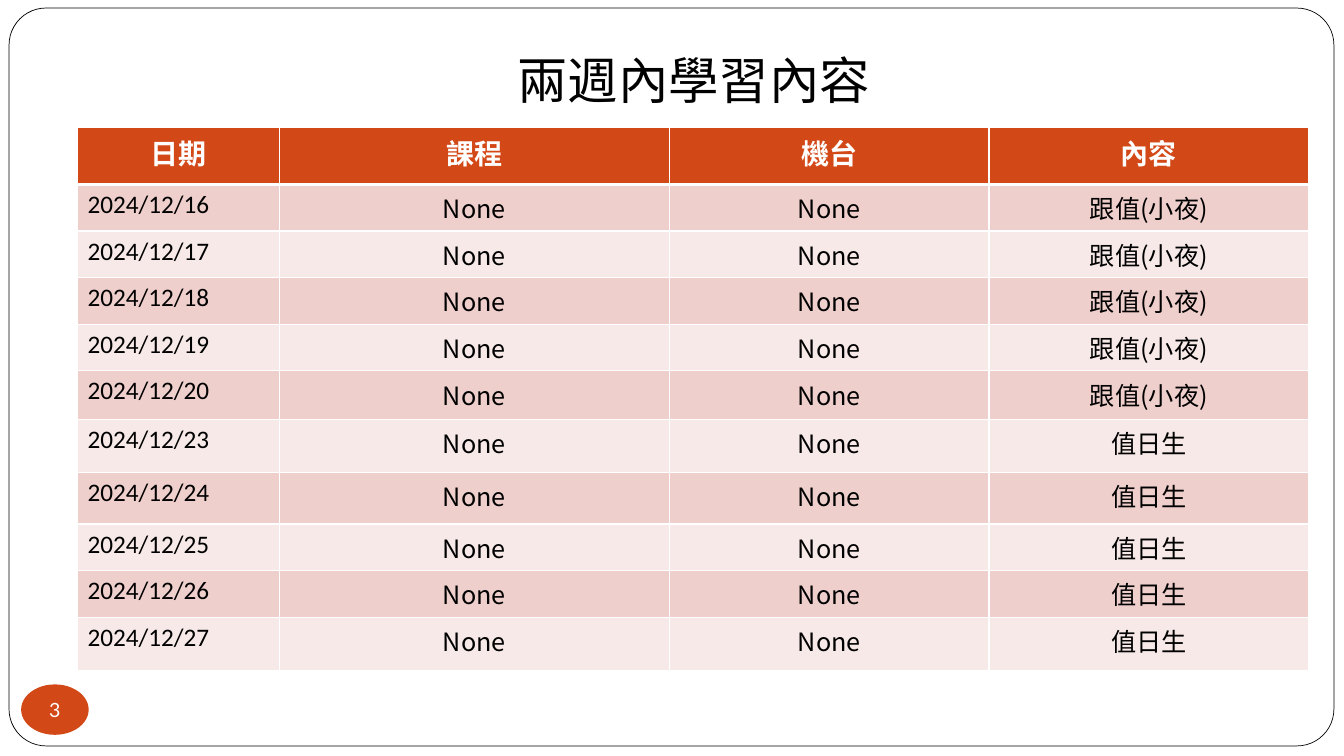
"""Build the slide listing two weeks of study content."""
from lxml import etree
from pptx import Presentation
from pptx.dml.color import RGBColor
from pptx.enum.shapes import MSO_SHAPE
from pptx.enum.text import MSO_ANCHOR, PP_ALIGN
from pptx.oxml.ns import qn
from pptx.util import Inches, Pt

ROUNDED, OVAL = MSO_SHAPE.ROUNDED_RECTANGLE, MSO_SHAPE.OVAL
LEFT, CENTER = PP_ALIGN.LEFT, PP_ALIGN.CENTER
MIDDLE = MSO_ANCHOR.MIDDLE
CJK_FONT = "Noto Sans CJK SC"
ACCENT, WHITE, BLACK = "D34817", "FFFFFF", "000000"
BANDS = ["EFCFCC", "F7E9E8"]


def color(value):
    return RGBColor.from_string(value)


def write(text_frame, text, size, font_name, font_color, alignment=CENTER, bold=False):
    text_frame.text = text
    paragraph = text_frame.paragraphs[0]
    paragraph.alignment = alignment
    run = paragraph.runs[0]
    run.font.size = Pt(size)
    run.font.name = font_name
    run.font.bold = bold
    run.font.color.rgb = color(font_color)
    properties = run.font.fill._xPr
    etree.SubElement(properties, qn("a:ea"), typeface=CJK_FONT)


presentation = Presentation()
presentation.slide_width = Inches(13.33)
presentation.slide_height = Inches(7.5)
slide = presentation.slides.add_slide(presentation.slide_layouts[6])

frame = slide.shapes.add_shape(ROUNDED, Inches(0.09), Inches(0.08), Inches(13.14), Inches(7.32))
frame.adjustments[0] = 0.05
frame.shadow.inherit = False
frame.fill.solid()
frame.fill.fore_color.rgb = color(WHITE)
frame.line.color.rgb = color(BLACK)
frame.line.width = Pt(0.5)

badge = slide.shapes.add_shape(OVAL, Inches(0.21), Inches(6.79), Inches(0.67), Inches(0.5))
badge.shadow.inherit = False
badge.fill.solid()
badge.fill.fore_color.rgb = color(ACCENT)
badge.line.fill.background()
badge_text = badge.text_frame
badge_text.margin_left = badge_text.margin_right = 0
badge_text.margin_top = badge_text.margin_bottom = 0
badge_text.vertical_anchor = MIDDLE
badge_text.word_wrap = False
write(badge_text, "3", 14, "Lato", WHITE)

days = [16, 17, 18, 19, 20, 23, 24, 25, 26, 27]
rows = [["日期", "課程", "機台", "內容"]]
for day in days:
    duty = "跟值(小夜)" if day <= 20 else "值日生"
    rows.append([f"2024/12/{day}", "None", "None", duty])
column_widths = [2, 3.87, 3.17, 3.17]
row_heights = [0.57, 0.46, 0.46, 0.46, 0.46, 0.48, 0.53, 0.51, 0.43, 0.46, 0.53]

table = slide.shapes.add_table(len(rows), len(column_widths), Inches(0.77), Inches(1.26),
                               Inches(12.21), Inches(5.33)).table
for column, width in zip(table.columns, column_widths):
    column.width = Inches(width)
for row, height in zip(table.rows, row_heights):
    row.height = Inches(height)

for row_index, texts in enumerate(rows):
    header = row_index == 0
    for column_index, text in enumerate(texts):
        cell = table.cell(row_index, column_index)
        cell.fill.solid()
        cell.fill.fore_color.rgb = color(ACCENT if header else BANDS[(row_index - 1) % 2])
        if header:
            write(cell.text_frame, text, 20, "Calibri", WHITE, bold=True)
        elif column_index == 0:
            write(cell.text_frame, text, 18, "Calibri", BLACK, LEFT)
        else:
            write(cell.text_frame, text, 18, CJK_FONT, BLACK)
        cell_properties = cell._tc.get_or_add_tcPr()
        for position, side in enumerate(["L", "R", "T", "B"]):
            thick = (header and side == "B") or (row_index == 1 and side == "T")
            border = etree.Element(qn(f"a:ln{side}"), w=str(Pt(3 if thick else 1)))
            border_fill = etree.SubElement(border, qn("a:solidFill"))
            etree.SubElement(border_fill, qn("a:srgbClr"), val=WHITE)
            cell_properties.insert(position, border)

title = slide.shapes.add_textbox(Inches(1.98), Inches(0.44), Inches(9.8), Inches(0.71))
title.text_frame.word_wrap = True
write(title.text_frame, "兩週內學習內容", 36, CJK_FONT, BLACK)

presentation.save("out.pptx")
